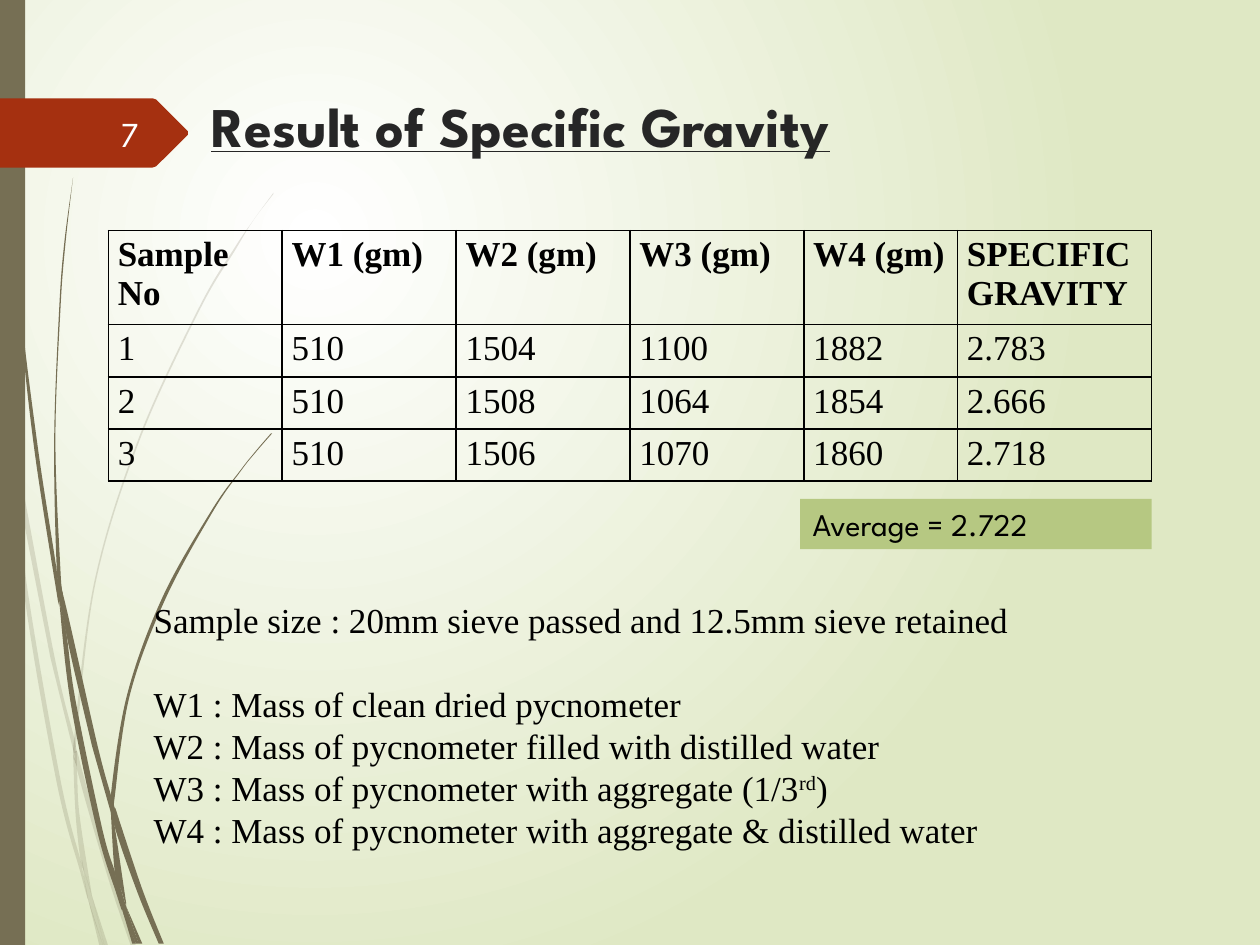
from lxml import etree
from pptx import Presentation, util as u
from pptx.dml.color import RGBColor
from pptx.enum import shapes, text
from pptx.oxml import parse_xml
from pptx.oxml.ns import nsdecls, qn

SERIF, SANS = "Times New Roman", "League Spartan"
COLORS = {"centre": "FFFFFF", "edge": "DFE8C4", "stem": "766F54", "tag": "A53010",
          "title": "262626", "ink": "000000", "number": "FEFFFF", "average": "B6C882"}

HEADER = ["Sample No", "W1 (gm)", "W2 (gm)", "W3 (gm)", "W4 (gm)", "SPECIFIC GRAVITY"]
RESULTS = [["1", "510", "1504", "1100", "1882", "2.783"],
           ["2", "510", "1508", "1064", "1854", "2.666"],
           ["3", "510", "1506", "1070", "1860", "2.718"]]
COLUMN_WIDTHS = [1.38, 1.38, 1.38, 1.38, 1.22, 1.54]
ROW_HEIGHTS = [0.58, 0.34, 0.34, 0.34]
TABLE_HEIGHT = 1.97

# Each line of notes is a list of (text, is superscript)
NOTES = [[("Sample size : 20mm sieve passed and 12.5mm sieve retained", False)],
         [("W1 : Mass of clean dried pycnometer", False)],
         [("W2 : Mass of pycnometer filled with distilled water", False)],
         [("W3 : Mass of pycnometer with aggregate (1/3", False), ("rd", True), (")", False)],
         [("W4 : Mass of pycnometer with aggregate & distilled water", False)]]

# Each grass blade is a pair of edges: one out, one back, in inches
PALE_BLADES = [
    ([(0.08, 3.5), (0.06, 3.22), (0, 2.82)], [(0, 2.99), (0.07, 3.44), (0.08, 3.5)]),
    ([(0.4, 5.22), (0.59, 5.99)],
     [(0.59, 5.86), (0.43, 5.2), (0.1, 3.45), (0.12, 3.76), (0.4, 5.22)]),
    ([(0.64, 6.07), (0.61, 5.96), (0.61, 6.1), (0.85, 6.94), (1.04, 7.51)],
     [(1.08, 7.51), (0.88, 6.92), (0.64, 6.07)]),
    ([(0.83, 7.51), (0.86, 7.51)], [(0.73, 7.11), (0.83, 7.51)]),
    ([(0.64, 6.83), (0.48, 6.19), (0.22, 4.69), (0.12, 3.76), (0.08, 3.5)],
     [(0.08, 3.5), (0.19, 4.7), (0.45, 6.21), (0.64, 6.93), (0.7, 7.14), (0.64, 6.83)]),
    ([(0.58, 5.99), (0.6, 6.46), (0.64, 6.83), (0.67, 6.92), (0.73, 7.11)],
     [(0.73, 7.11), (0.63, 6.46), (0.61, 6.1), (0.58, 5.99)]),
    ([(0.61, 5.96), (0.61, 5.84), (0.76, 4.62), (1.11, 3.49), (1.59, 2.45), (1.87, 1.98),
      (2.01, 1.75), (2.17, 1.54)],
     [(2.17, 1.53), (2.01, 1.75), (1.86, 1.97), (1.58, 2.44), (1.1, 3.48), (0.75, 4.61),
      (0.59, 5.84), (0.61, 5.96)]),
    ([(0.7, 7.14), (0.79, 7.51)], [(0.82, 7.51), (0.7, 7.14)]),
    ([(0.61, 6.08), (0.61, 5.96)], [(0.59, 5.86), (0.58, 5.99), (0.61, 6.08)]),
    ([(0.67, 6.92), (0.65, 6.83), (0.7, 7.14), (0.82, 7.51)],
     [(0.83, 7.51), (0.73, 7.11), (0.67, 6.92)]),
]
DARK_BLADES = [
    ([(0.02, 0), (0.03, 0.48), (0.05, 1.1), (0.14, 2.33), (0.27, 3.55), (0.46, 4.77)],
     [(0.47, 4.81), (0.45, 4.53), (0.3, 3.55), (0.15, 2.32), (0.06, 1.09), (0.04, 0.48),
      (0.03, 0)]),
    ([(0.73, 5.92), (0.88, 6.45)],
     [(0.88, 6.31), (0.77, 5.9), (0.5, 4.72), (0.53, 5.05), (0.73, 5.92)]),
    ([(0.94, 6.49), (0.91, 6.41), (0.91, 6.56), (1.09, 7.08), (1.26, 7.49)],
     [(1.3, 7.49), (1.13, 7.06), (0.94, 6.49)]),
    ([(0.91, 6.91), (0.81, 6.57), (0.6, 5.56), (0.53, 5.05), (0.47, 4.77)],
     [(0.47, 4.77), (0.56, 5.57), (0.77, 6.59), (0.92, 7.08), (0.97, 7.22), (0.91, 6.91)]),
    ([(0.5, 4.72), (0.48, 4.53), (0.44, 3.49), (0.48, 2.45), (0.52, 1.93), (0.58, 1.41)],
     [(0.58, 1.41), (0.51, 1.93), (0.47, 2.45), (0.43, 3.49), (0.45, 4.49), (0.49, 4.72)]),
    ([(1.1, 7.49), (1.13, 7.49)], [(1, 7.19), (1.1, 7.49)]),
    ([(0.47, 4.77), (0.53, 5.05)], [(0.5, 4.72), (0.45, 4.49), (0.47, 4.77)]),
    ([(0.91, 6.41), (0.91, 6.33), (1.03, 5.52), (1.31, 4.76), (1.69, 4.06), (1.91, 3.74),
      (2.03, 3.59), (2.16, 3.44)],
     [(2.15, 3.44), (2.03, 3.58), (1.91, 3.73), (1.68, 4.05), (1.29, 4.74), (1.01, 5.51),
      (0.88, 6.31), (0.91, 6.41)]),
    ([(0.97, 7.22), (1.05, 7.49)], [(1.08, 7.49), (0.97, 7.22)]),
    ([(0.88, 6.45), (0.91, 6.91), (0.96, 7.06), (1, 7.19)],
     [(1, 7.16), (0.91, 6.56), (0.88, 6.45)]),
    ([(0.88, 6.45), (0.91, 6.56)], [(0.91, 6.41), (0.88, 6.31), (0.88, 6.45)]),
    ([(0.96, 7.06), (0.91, 6.91), (0.97, 7.22), (1.08, 7.49)],
     [(1.1, 7.49), (1, 7.19), (0.96, 7.06)]),
]
TAG = [(0, 0.78), (1.21, 0.78), (1.24, 0.79), (1.49, 1.04), (1.49, 1.07),
       (1.24, 1.32), (1.21, 1.33), (0, 1.33)]


def rgb(name):
    return RGBColor.from_string(COLORS[name])


def paint(shape, color):
    shape.shadow.inherit = False
    shape.fill.solid()
    shape.fill.fore_color.rgb = rgb(color)
    shape.line.fill.background()


def add_outline(page, points, color):
    corners = [(u.Inches(x), u.Inches(y)) for x, y in points]
    builder = page.shapes.build_freeform(*corners[0])
    builder.add_line_segments(corners[1:], close=True)
    shape = builder.convert_to_shape()
    paint(shape, color)
    return shape


def bend(lines):
    """Turn the segments of one edge into Bezier curves through the same points."""
    points = [(int(pt.get("x")), int(pt.get("y"))) for pt in (line[0] for line in lines)]
    padded = [points[0], *points, points[-1]]
    for line, a, b, c, d in zip(lines[1:], padded, padded[1:], padded[2:], padded[3:]):
        first = [q + (r - p) // 6 for p, q, r in zip(a, b, c)]
        second = [r - (s - q) // 6 for q, r, s in zip(b, c, d)]
        curve = etree.Element(qn("a:cubicBezTo"))
        for x, y in (first, second, c):
            etree.SubElement(curve, qn("a:pt"), x=str(x), y=str(y))
        line.getparent().replace(line, curve)


def add_blade(page, out, back, opacity):
    blade = add_outline(page, out + back, "stem")
    lines = list(blade._element.find(".//" + qn("a:pathLst"))[0])
    bend(lines[:len(out)])
    bend(lines[len(out):len(out) + len(back)])
    if opacity < 100:
        color = blade._element.spPr.find(qn("a:solidFill"))[0]
        etree.SubElement(color, qn("a:alpha")).set("val", str(opacity * 1000))


def add_span(para, words, size, font, color, bold=False):
    span = para.add_run()
    span.text = words
    span.font.size, span.font.name, span.font.bold = u.Pt(size), font, bold
    span.font.color.rgb = rgb(color)
    return span


def add_text_box(page, *place):
    box = page.shapes.add_textbox(*map(u.Inches, place))
    box.text_frame.word_wrap = True
    return box.text_frame


def add_borders(cell):
    for side in ("lnL", "lnR", "lnT", "lnB"):
        cell._tc.get_or_add_tcPr().append(parse_xml(
            f'<a:{side} {nsdecls("a")} w="12700"><a:solidFill>'
            f'<a:srgbClr val="{COLORS["ink"]}"/></a:solidFill></a:{side}>'))


deck = Presentation()
deck.slide_width, deck.slide_height = u.Inches(10), u.Inches(7.5)
page = deck.slides.add_slide(deck.slide_layouts[6])

# Radial background
backdrop = page.background.fill
backdrop.gradient()
for stop, name in zip(backdrop.gradient_stops, ("centre", "edge")):
    stop.color.rgb = rgb(name)
gradient = page._element.find(".//" + qn("a:gradFill"))
gradient.replace(gradient.find(qn("a:lin")), parse_xml(
    f'<a:path {nsdecls("a")} path="circle">'
    '<a:fillToRect l="50000" t="50000" r="100000" b="100000"/></a:path>'))

# Grass blades, side bar and page tag
for blades, opacity in ((PALE_BLADES, 20), (DARK_BLADES, 100)):
    for out, back in blades:
        add_blade(page, out, back, opacity)
rectangle = shapes.MSO_SHAPE.RECTANGLE
paint(page.shapes.add_shape(rectangle, 0, 0, u.Inches(0.2), deck.slide_height), "stem")
add_outline(page, TAG, "tag")

# Title
para = add_text_box(page, 1.58, 0.68, 7.05, 0.71).paragraphs[0]
add_span(para, "Result of Specific Gravity", 32, SANS, "title", True).font.underline = True

# Results table
rows = [HEADER, *RESULTS]
frame = page.shapes.add_table(len(rows), len(HEADER), u.Inches(0.86), u.Inches(1.83),
                              u.Inches(sum(COLUMN_WIDTHS)), u.Inches(TABLE_HEIGHT))
table = frame.table
table.first_row = table.horz_banding = False
for column, width in zip(table.columns, COLUMN_WIDTHS):
    column.width = u.Inches(width)
for r, (values, height) in enumerate(zip(rows, ROW_HEIGHTS)):
    table.rows[r].height = u.Inches(height)
    for c, value in enumerate(values):
        cell = table.cell(r, c)
        cell.margin_left = cell.margin_right = u.Pt(5.4)
        cell.margin_top = cell.margin_bottom = u.Inches(0.04)
        add_borders(cell)
        cell.fill.background()
        add_span(cell.text_frame.paragraphs[0], value, 20, SERIF, "ink", r == 0)
frame.height = u.Inches(TABLE_HEIGHT)

# Notes below the table
frame = add_text_box(page, 1.12, 4.7, 8.35, 2.12)
for i, pieces in enumerate(NOTES):
    para = frame.add_paragraph() if i else frame.paragraphs[0]
    para.line_spacing = u.Pt(24)
    if i == 1:
        para.space_before = u.Pt(24)
    for words, raised in pieces:
        span = add_span(para, words, 20, SERIF, "ink")
        if raised:
            span._r.get_or_add_rPr().set("baseline", "30000")

# Page number
frame = add_text_box(page, 0.56, 0.86, 0.64, 0.4)
frame.vertical_anchor = text.MSO_ANCHOR.MIDDLE
frame.paragraphs[0].alignment = text.PP_ALIGN.RIGHT
add_span(frame.paragraphs[0], "7", 20, SANS, "number")

# Average
average = page.shapes.add_shape(rectangle, *map(u.Inches, (6.35, 3.96, 2.79, 0.4)))
paint(average, "average")
average.text_frame.vertical_anchor = text.MSO_ANCHOR.TOP
para = average.text_frame.paragraphs[0]
para.alignment = text.PP_ALIGN.LEFT
add_span(para, "Average = 2.722", 18, SANS, "ink")

deck.save("out.pptx")
